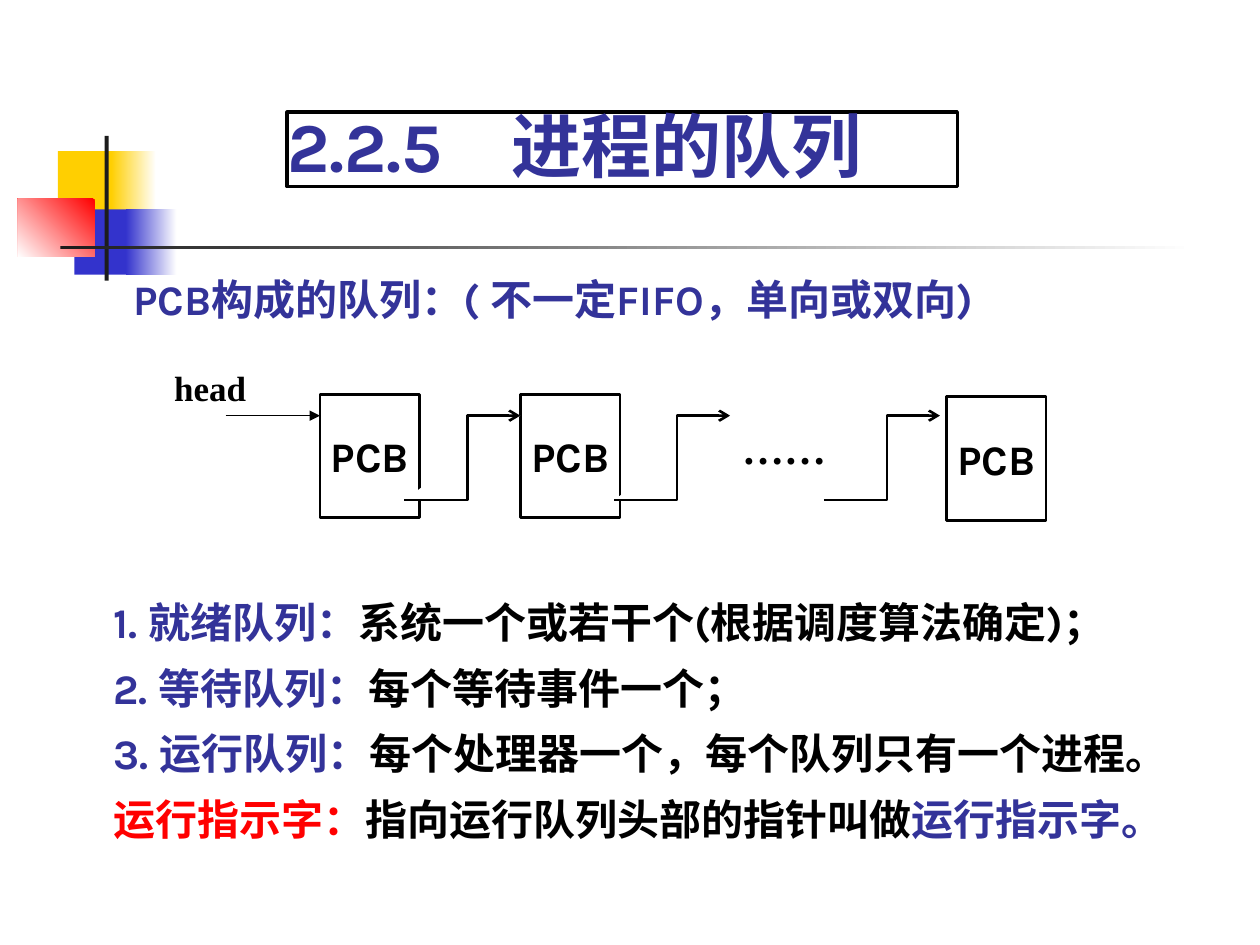
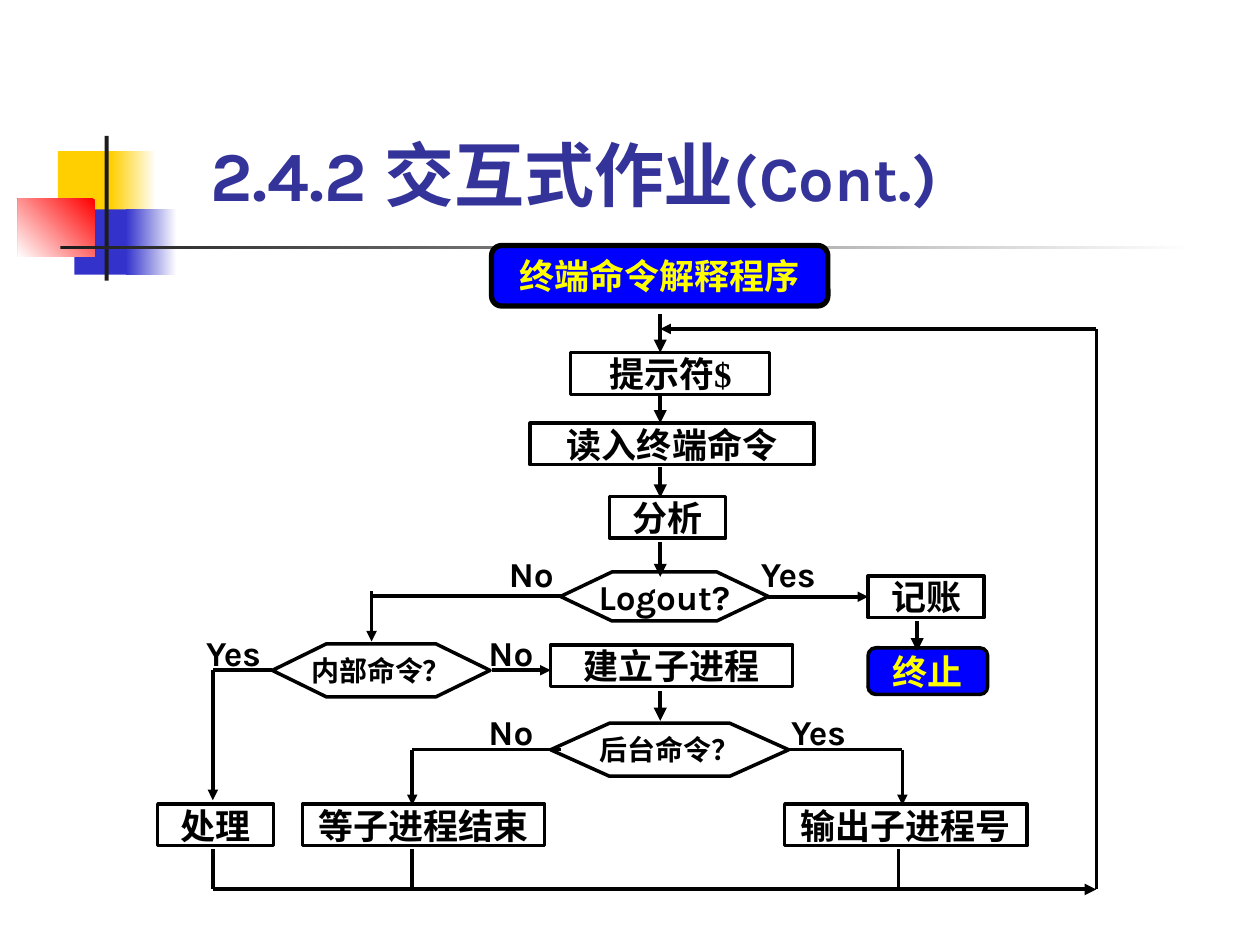
from dataclasses import dataclass
from typing import Optional

import pptx
import pptx.dml.color
import pptx.enum.shapes
import pptx.enum.text
import pptx.oxml
import pptx.oxml.ns
import pptx.util

Cm = pptx.util.Cm
RGBColor = pptx.dml.color.RGBColor
MSO = pptx.enum.shapes.MSO_SHAPE
ANCHOR = pptx.enum.text.MSO_ANCHOR
ALIGN = pptx.enum.text.PP_ALIGN

BLACK = RGBColor(0x00, 0x00, 0x00)
WHITE = RGBColor(0xFF, 0xFF, 0xFF)
INDIGO = RGBColor(0x33, 0x33, 0x99)
BLUE = RGBColor(0x00, 0x00, 0xFF)
YELLOW = RGBColor(0xFF, 0xFF, 0x00)
RED = RGBColor(0xFF, 0x00, 0x00)
GOLD = RGBColor(0xFF, 0xCF, 0x01)
BAND_BLUE = RGBColor(0x33, 0x33, 0xCC)
CHARCOAL = RGBColor(0x1C, 0x1C, 0x1C)

SANS = "Karla"
SERIF = "Times New Roman"


@dataclass(frozen=True)
class Rect:
    """Position and size in centimetres."""
    x: float
    y: float
    w: float
    h: float

    def emu(self) -> tuple:
        return Cm(self.x), Cm(self.y), Cm(self.w), Cm(self.h)


@dataclass(frozen=True)
class Span:
    text: str
    color: RGBColor = BLACK
    size: float = 20
    font: str = SANS


@dataclass(frozen=True)
class Band:
    rect: Rect
    color: RGBColor
    fade_angle: Optional[float] = None


@dataclass(frozen=True)
class Node:
    rect: Rect
    span: Span
    kind: int = MSO.RECTANGLE
    fill: Optional[RGBColor] = None
    width: float = 2
    adj: Optional[float] = None


@dataclass(frozen=True)
class Line:
    x1: float
    y1: float
    x2: float
    y2: float
    arrow: bool = True
    width: float = 2


BANDS = [
    Band(Rect(1.17, 3.05, 1.22, 1.32), GOLD),
    Band(Rect(2.24, 3.05, 0.91, 1.32), GOLD, 0),
    Band(Rect(1.5, 4.22, 1.17, 1.32), BAND_BLUE),
    Band(Rect(2.54, 4.22, 1.02, 1.32), BAND_BLUE, 0),
    Band(Rect(0.36, 4.01, 1.55, 1.17), RED, 225),
    Band(Rect(2.11, 2.74, 0.08, 2.92), CHARCOAL),
    Band(Rect(1.22, 4.95, 22.86, 0.08), CHARCOAL, 0),
]


def add_xml(parent, tag: str, **attrs: str):
    el = pptx.oxml.parse_xml(f"<a:{tag} {pptx.oxml.ns.nsdecls('a')}/>")
    for name, value in attrs.items():
        el.set(name, value)
    parent.append(el)
    return el


def style_line(sp, width: float, arrow: str = "") -> None:
    sp.line.color.rgb = BLACK
    sp.line.width = pptx.util.Pt(width)
    if arrow:
        add_xml(sp.line._get_or_add_ln(), "tailEnd", type=arrow)


def write(sp, paragraphs: list[list[Span]], align=ALIGN.LEFT, anchor=ANCHOR.TOP,
          spacing: Optional[float] = None, wrap: bool = True,
          inset: tuple = (0, 0)) -> None:
    tf = sp.text_frame
    tf.word_wrap = wrap
    tf.vertical_anchor = anchor
    tf.margin_left = tf.margin_right = Cm(inset[0])
    tf.margin_top = tf.margin_bottom = Cm(inset[1])
    for i, spans in enumerate(paragraphs):
        p = tf.paragraphs[0] if i == 0 else tf.add_paragraph()
        p.alignment = align
        if spacing:
            p.line_spacing = spacing
        for span in spans:
            r = p.add_run()
            r.text = span.text
            r.font.name = span.font
            r.font.size = pptx.util.Pt(span.size)
            r.font.bold = True
            r.font.color.rgb = span.color


def add_box(s, rect: Rect, kind: int = MSO.RECTANGLE,
            fill: Optional[RGBColor] = None, width: float = 0):
    sp = s.shapes.add_shape(kind, *rect.emu())
    sp.shadow.inherit = False
    if fill is None:
        sp.fill.background()
    else:
        sp.fill.solid()
        sp.fill.fore_color.rgb = fill
    if width:
        style_line(sp, width)
    else:
        sp.line.fill.background()
    return sp


def add_text(s, rect: Rect, paragraphs: list[list[Span]], **options):
    sp = s.shapes.add_textbox(*rect.emu())
    write(sp, paragraphs, **options)
    return sp


def add_node(s, node: Node):
    sp = add_box(s, node.rect, node.kind, node.fill, node.width)
    plain = node.kind == MSO.RECTANGLE
    if node.adj is not None:
        sp.adjustments[0] = node.adj
    write(sp, [[node.span]], align=ALIGN.CENTER, wrap=plain,
          anchor=ANCHOR.TOP if plain else ANCHOR.MIDDLE)
    return sp


def add_line(s, line: Line):
    sp = s.shapes.add_connector(pptx.enum.shapes.MSO_CONNECTOR.STRAIGHT,
                                Cm(line.x1), Cm(line.y1), Cm(line.x2), Cm(line.y2))
    style_line(sp, line.width, "triangle" if line.arrow else "")
    add_xml(sp._element.spPr, "effectLst")
    return sp


def new_slide(prs):
    s = prs.slides.add_slide(prs.slide_layouts[6])
    for band in BANDS:
        sp = add_box(s, band.rect, fill=band.color)
        if band.fade_angle is not None:
            sp.fill.gradient()
            sp.fill.gradient_angle = band.fade_angle
            for stop, color in zip(sp.fill.gradient_stops, (band.color, WHITE)):
                stop.color.rgb = color
    return s


def build_queue_slide(prs) -> None:
    s = new_slide(prs)

    # Framed title, number and name set apart by a tab stop
    title = add_box(s, Rect(5.79, 2.26, 13.51, 1.5), width=2)
    write(title, [[Span("2.2.5\t进程的队列", INDIGO, 40)]],
          anchor=ANCHOR.BOTTOM, spacing=0.85)
    tabs = add_xml(title.text_frame.paragraphs[0]._p.get_or_add_pPr(), "tabLst")
    add_xml(tabs, "tab", pos=str(Cm(4.52)), algn="l")

    # Linked PCB queue
    for x, y in ((6.45, 7.95), (10.49, 7.95), (19.08, 8)):
        sp = add_box(s, Rect(x, y, 2.01, 2.49), fill=WHITE, width=1.5)
        write(sp, [[Span("PCB", size=24)]], align=ALIGN.CENTER,
              anchor=ANCHOR.MIDDLE, wrap=False)
    add_line(s, Line(4.55, 8.38, 6.45, 8.38, width=0.75))
    for i in range(3):
        x, low, high = 8.15 + 4.23 * i, 10.08, 8.38
        builder = s.shapes.build_freeform(Cm(x), Cm(low))
        builder.add_line_segments(
            [(Cm(x + 1.27), Cm(low)), (Cm(x + 1.27), Cm(high)),
             (Cm(x + 2.34), Cm(high))], close=False)
        link = builder.convert_to_shape()
        link.shadow.inherit = False
        link.fill.solid()
        link.fill.fore_color.rgb = WHITE
        style_line(link, 1.5, "arrow")
    dots = add_box(s, Rect(14.71, 8.38, 2.74, 1.27), fill=WHITE)
    write(dots, [[Span("……", size=24, font=SERIF)]], inset=(0.25, 0.13))
    head = add_box(s, Rect(3.51, 7.52, 1.7, 0.71), fill=WHITE)
    write(head, [[Span("head", font=SERIF)]], spacing=0.85, wrap=False)

    # Queue descriptions
    rows = [
        [("1. 就绪队列：", INDIGO), ("系统一个或若干个(根据调度算法确定)；", BLACK)],
        [("2. 等待队列：", INDIGO), ("每个等待事件一个；", BLACK)],
        [("3. 运行队列：", INDIGO), ("每个处理器一个，每个队列只有一个进程。", BLACK)],
        [("运行指示字：", RED), ("指向运行队列头部的指针叫做", BLACK),
         ("运行指示字。", INDIGO)],
    ]
    add_text(s, Rect(2.29, 11.73, 22, 5.28),
             [[Span(text, color, 24) for text, color in row] for row in rows],
             spacing=1.3)
    add_text(s, Rect(2.69, 5.51, 18.59, 1.02),
             [[Span("PCB构成的队列：( 不一定FIFO，单向或双向)", INDIGO, 24)]])


def build_flow_slide(prs) -> None:
    s = new_slide(prs)
    add_text(s, Rect(3.99, 2.51, 16.31, 1.96),
             [[Span("2.4.2 交互式作业", INDIGO, 40), Span("(Cont.)", INDIGO, 36)]],
             anchor=ANCHOR.BOTTOM, inset=(0.25, 0.13))

    # Steps: text, left, top, width, line width
    steps = {}
    for text, x, y, w, width in (
            ("提示符$", 11.51, 7.11, 4.01, 1.75),
            ("读入终端命令", 10.69, 8.53, 5.72, 2),
            ("分析", 12.29, 10.01, 2.34, 2),
            ("处理", 3.18, 16.21, 2.34, 2),
            ("建立子进程", 11.1, 13, 4.88, 2),
            ("等子进程结束", 6.1, 16.21, 4.88, 2),
            ("输出子进程号", 15.82, 16.21, 4.88, 2),
            ("记账", 17.5, 11.61, 2.34, 2)):
        steps[text] = add_node(s, Node(Rect(x, y, w, 0.84), Span(text, font=SERIF),
                                       width=width))

    # Decisions, start and end
    for node in (
            Node(Rect(11.3, 11.53, 4.19, 0.99), Span("Logout?"), MSO.HEXAGON, adj=1.05),
            Node(Rect(5.49, 12.98, 4.39, 1.07), Span("内部命令？", size=16),
                 MSO.HEXAGON, adj=1.02),
            Node(Rect(11.1, 14.58, 4.8, 1.07), Span("后台命令？", size=16),
                 MSO.HEXAGON, adj=1.11),
            Node(Rect(17.5, 13.06, 2.41, 0.94), Span("终止", YELLOW),
                 MSO.FLOWCHART_ALTERNATE_PROCESS, BLUE),
            Node(Rect(9.91, 4.95, 6.78, 1.22), Span("终端命令解释程序", YELLOW),
                 MSO.FLOWCHART_ALTERNATE_PROCESS, BLUE, 3)):
        add_node(s, node)

    # Main downward arrows
    spine = 13.31
    for x, y1, y2 in ((spine, 6.32, 7.11), (spine, 7.92, 8.53), (spine, 9.42, 10.03),
                      (spine, 10.92, 11.63), (spine, 13.92, 14.53),
                      (18.49, 12.52, 13.13)):
        add_line(s, Line(x, y1, x, y2, width=2.5))

    # Branches
    to_account = add_line(s, Line(15.49, 12.03, 17.5, 12.03))
    to_account.end_connect(steps["记账"], 1)
    for line in (
            Line(11.3, 12.01, 7.49, 12.01, arrow=False),
            Line(7.49, 11.91, 7.49, 12.93),
            Line(5.49, 13.51, 4.29, 13.51, arrow=False),
            Line(4.29, 13.51, 4.29, 16.13),
            Line(9.91, 13.51, 11.1, 13.51),
            Line(11.3, 15.11, 8.31, 15.11, arrow=False),
            Line(8.31, 15.11, 8.31, 16.23),
            Line(15.9, 15.11, 18.19, 15.11, arrow=False),
            Line(18.19, 15.11, 18.19, 16.23)):
        add_line(s, line)

    # Return loop
    bottom, right, back = 17.93, 22.1, 6.63
    add_line(s, Line(4.29, bottom, right, bottom, width=2.25))
    for x in (4.29, 8.31, 18.11):
        add_line(s, Line(x, 17.12, x, bottom, arrow=False))
    add_line(s, Line(right, bottom, right, back, arrow=False))
    add_line(s, Line(right, back, spine, back))

    # Branch labels
    for text, x, y in (("Yes", 15.8, 14.33), ("Yes", 15.19, 11.13), ("Yes", 4.01, 12.73),
                       ("No", 9.6, 12.73), ("No", 9.6, 14.33), ("No", 10.01, 11.13)):
        add_text(s, Rect(x, y, 1.4, 0.84), [[Span(text)]], align=ALIGN.CENTER)


def main() -> None:
    prs = pptx.Presentation()
    prs.slide_width, prs.slide_height = Cm(25.4), Cm(19.05)
    build_queue_slide(prs)
    build_flow_slide(prs)
    prs.save("out.pptx")


if __name__ == "__main__":
    main()
